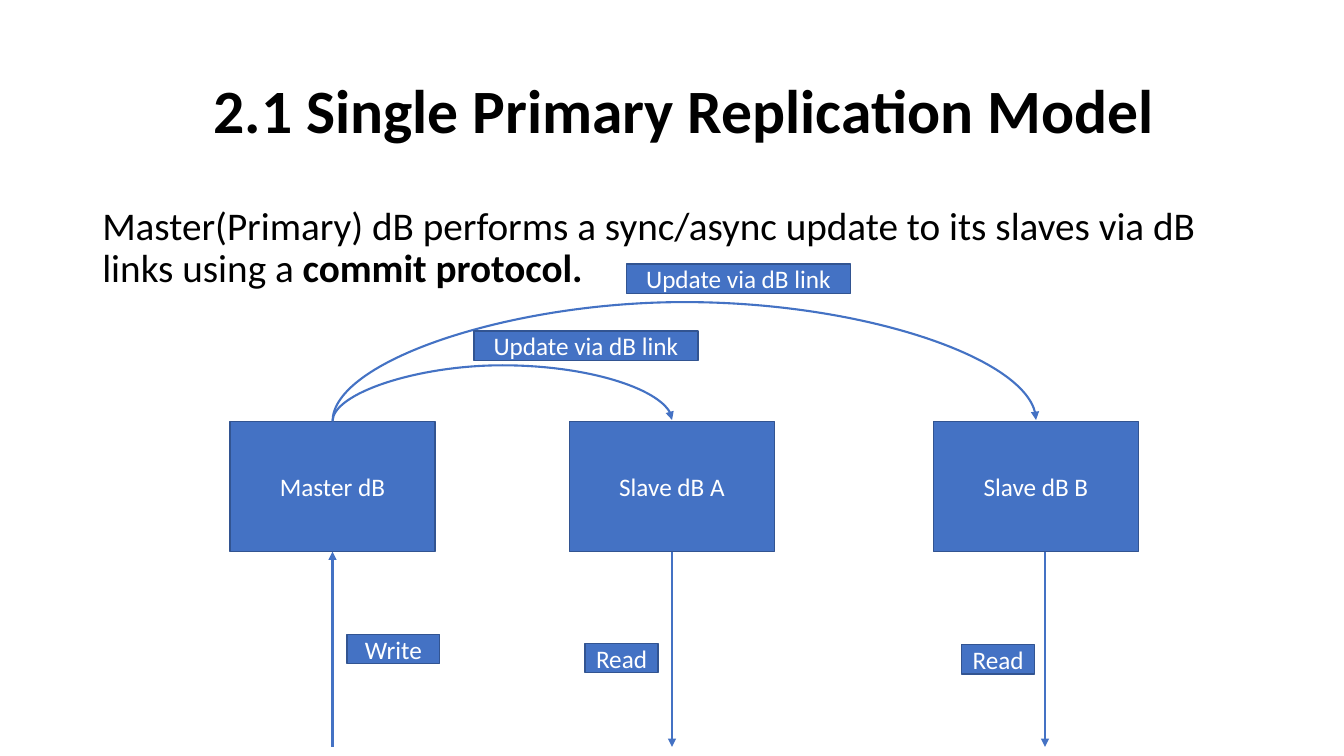
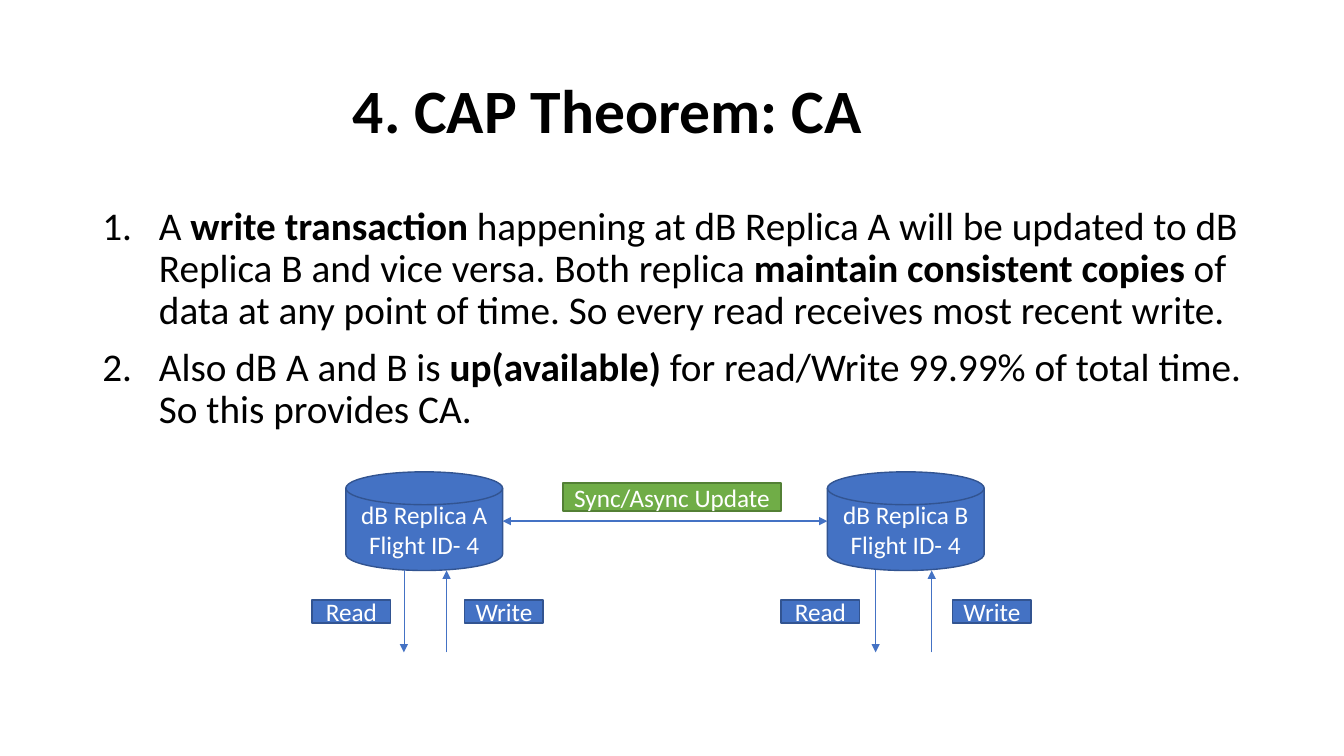
from pptx import Presentation
from pptx.dml.color import RGBColor
from pptx.enum.shapes import MSO_CONNECTOR as LINE, MSO_SHAPE as SHAPE
from pptx.enum.text import MSO_ANCHOR as ANCHOR, PP_ALIGN as ALIGN
from pptx.oxml.ns import qn
from pptx.util import Pt
from lxml.etree import SubElement

# Shared look
FONT = "Calibri"
BLACK, WHITE = "000000", "FFFFFF"
BLUE, GREEN = ("4472C4", "325491"), ("70AD47", "538035")  # fill, outline


def color(hex_text):
    return RGBColor.from_string(hex_text)


def set_font(para, size, hex_text, bold=None):
    font = para.font
    font.name, font.size, font.bold = FONT, Pt(size), bold
    font.color.rgb = color(hex_text)


def indent(para, left, first=0):
    props = para._p.get_or_add_pPr()
    props.set("marL", str(Pt(left)))
    props.set("indent", str(Pt(first)))
    return props


# Text
def add_text_frame(page, top, height, anchor):
    frame = page.shapes.add_textbox(Pt(66), Pt(top), Pt(828), Pt(height)).text_frame
    frame.word_wrap = True
    frame.vertical_anchor = anchor
    return frame


def add_title(page, text, left_indent):
    para = add_text_frame(page, 28.75, 104.4, ANCHOR.MIDDLE).paragraphs[0]
    para.text = text
    para.line_spacing = 0.9
    indent(para, left_indent)
    set_font(para, 44, BLACK, bold=True)


def add_body(page, paragraphs, numbered=False):
    """Each paragraph is a list of texts, alternately regular and bold."""
    frame = add_text_frame(page, 143.75, 342.6, ANCHOR.TOP)
    for index, texts in enumerate(paragraphs):
        para = frame.add_paragraph() if index else frame.paragraphs[0]
        para.line_spacing = 0.9
        para.space_before = Pt(10 if index else 0)
        if numbered:
            props = indent(para, 40.5, -40.5)
            SubElement(props, qn("a:buFont"), typeface="+mj-lt")
            SubElement(props, qn("a:buAutoNum"), type="arabicPeriod")
        set_font(para, 28, BLACK)
        for position, text in enumerate(texts):
            span = para.add_run()
            span.text = text
            if position % 2:
                span.font.bold = True


# Boxes and arrows
def add_box(page, lines, left, top, width, height, look=BLUE, kind=SHAPE.RECTANGLE):
    box = page.shapes.add_shape(kind, Pt(left), Pt(top), Pt(width), Pt(height))
    box.shadow.inherit = False
    box.fill.solid()
    box.fill.fore_color.rgb = color(look[0])
    box.line.color.rgb = color(look[1])
    box.line.width = Pt(1)
    frame = box.text_frame
    frame.word_wrap = True
    frame.vertical_anchor = ANCHOR.MIDDLE
    for index, text in enumerate(lines):
        para = frame.add_paragraph() if index else frame.paragraphs[0]
        para.text = text
        para.alignment = ALIGN.CENTER
        set_font(para, 18, WHITE)


def add_arrow(page, start, end, width=1.5, both_ends=False, kind=LINE.STRAIGHT):
    arrow = page.shapes.add_connector(kind, *(Pt(value) for value in start + end))
    arrow.line.color.rgb = color(BLUE[0])
    arrow.line.width = Pt(width)
    outline = arrow.line._get_or_add_ln()
    if both_ends:
        SubElement(outline, qn("a:headEnd"), type="triangle")
    SubElement(outline, qn("a:tailEnd"), type="triangle")
    SubElement(arrow._element.spPr, qn("a:effectLst"))
    return arrow


def add_arc(page, left, right, base, rise):
    """Curved arrow: a connector one point wide, turned by a quarter."""
    middle, half = (left + right) / 2, (right - left) / 2
    arrow = add_arrow(page, (middle + 0.5, base + half), (middle - 0.5, base - half),
                      kind=LINE.CURVE)
    props = arrow._element.spPr
    props.find(qn("a:xfrm")).set("rot", str(90 * 60000))
    guides = props.find(qn("a:prstGeom")).get_or_add_avLst()
    SubElement(guides, qn("a:gd"), name="adj1", fmla=f"val {round(rise * 100000)}")


# Slides
def build_replication(page):
    add_title(page, "2.1 Single Primary Replication Model", 79.5)
    add_body(page, [["Master(Primary) dB performs a sync/async update to its slaves "
                     "via dB links using a ", "commit protocol."]])

    master, slave_a, slave_b = 237.5, 480, 740  # box centres
    top, width, height = 301, 146.5, 93
    for text, center in (("Master dB", master), ("Slave dB A", slave_a),
                         ("Slave dB B", slave_b)):
        add_box(page, [text], center - width / 2, top, width, height)

    bottom, end = top + height, 533.5
    add_arrow(page, (master, end), (master, bottom))
    for x in (slave_a, 746.5):
        add_arrow(page, (x, bottom), (x, end))
    add_arc(page, master, slave_a, top - 0.5, 40.35)
    add_arc(page, master, slave_b, top - 0.5, 85.86)

    for text, left, label_top, label_width in (
            ("Write", 248, 453, 66), ("Read", 418, 459.5, 52), ("Read", 687, 460.5, 52),
            ("Update via dB link", 447.5, 188.5, 160),
            ("Update via dB link", 338.5, 236.5, 160)):
        add_box(page, [text], left, label_top, label_width, 21)


def build_cap(page):
    add_title(page, "4. CAP Theorem: CA", 179)
    add_body(page, [
        ["A ", "write transaction", " happening at dB Replica A will be updated to dB "
         "Replica B and vice versa. Both replica ", "maintain consistent copies ",
         "of data at any point of time. So every read receives most recent write."],
        ["Also dB A and B is ", "up(available) ",
         "for read/Write 99.99% of total time. So this provides CA."],
    ], numbered=True)

    top, width, height = 337, 112, 70.5
    bottom, end = top + height, 466
    for name, left, read_x, write_x, read_label, write_label in (
            ("A", 247, 288.5, 319, 223, 332), ("B", 591, 625.5, 665.5, 558, 680.5)):
        add_box(page, [f"dB Replica {name}", "Flight ID- 4"], left, top, width, height,
                kind=SHAPE.FLOWCHART_MAGNETIC_DISK)
        add_arrow(page, (read_x, bottom), (read_x, end), 0.5)
        add_arrow(page, (write_x, end), (write_x, bottom), 0.5)
        for text, label_left in (("Read", read_label), ("Write", write_label)):
            add_box(page, [text], label_left, 428.5, 56, 16.5)

    middle = top + height / 2
    add_arrow(page, (247 + width, middle), (591, middle), both_ends=True)
    add_box(page, ["Sync/Async Update"], 402, 345, 156, 20, GREEN)


def main():
    deck = Presentation()
    deck.slide_width, deck.slide_height = Pt(960), Pt(540)
    for build in (build_replication, build_cap):
        build(deck.slides.add_slide(deck.slide_layouts[6]))
    deck.save("out.pptx")


if __name__ == "__main__":
    main()
